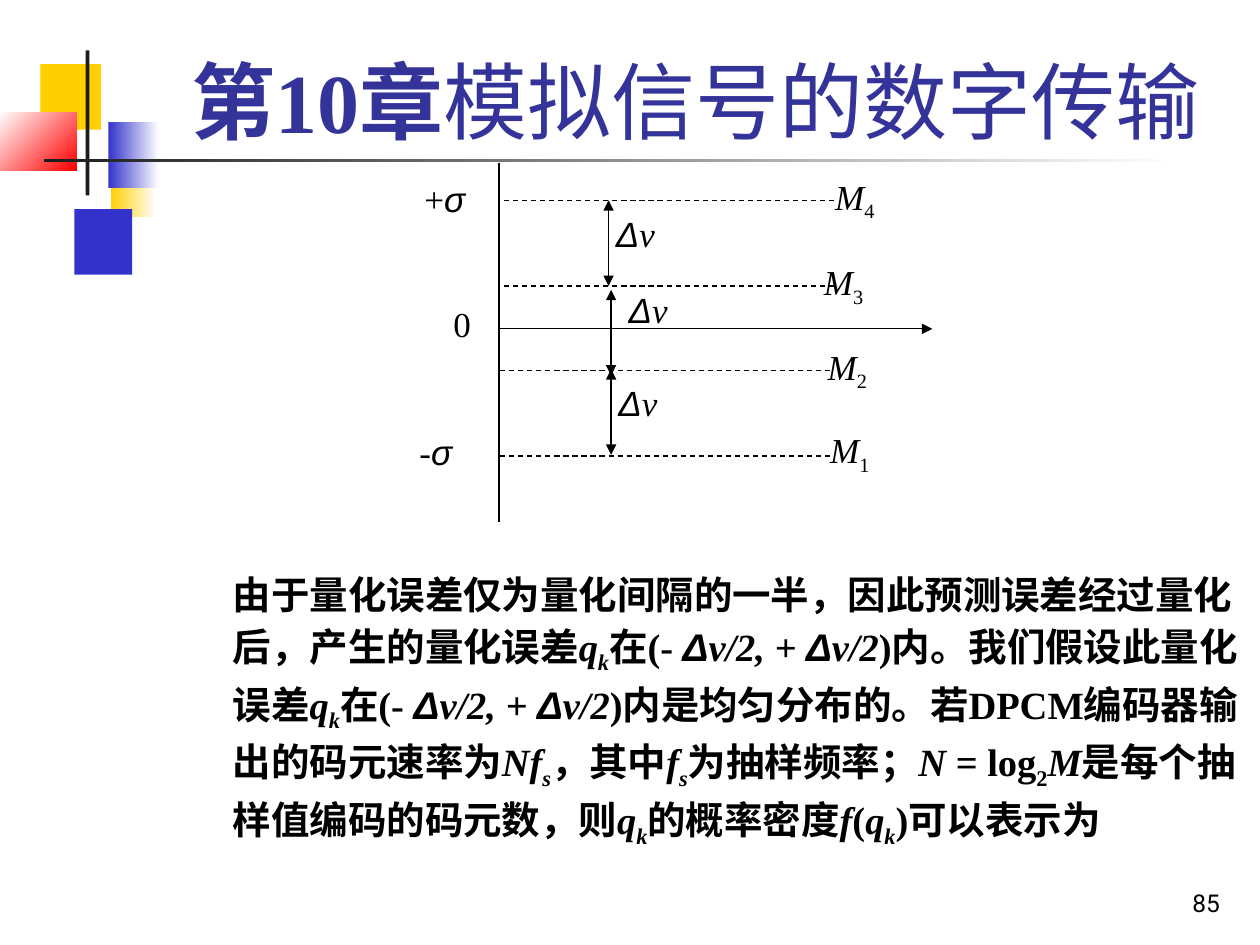
from dataclasses import dataclass

from lxml.etree import SubElement
from pptx import Presentation
from pptx.dml.color import RGBColor
from pptx.enum.dml import MSO_LINE_DASH_STYLE as DASH
from pptx.enum.shapes import MSO_CONNECTOR as CONNECTOR
from pptx.enum.shapes import MSO_SHAPE as SHAPE
from pptx.enum.text import MSO_ANCHOR as ANCHOR
from pptx.enum.text import PP_ALIGN as ALIGN
from pptx.oxml.ns import qn
from pptx.util import Inches, Pt


@dataclass(frozen=True)
class Theme:
    yellow: str = "FFCF01"
    blue: str = "3333CC"
    red: str = "FF0000"
    dark: str = "1C1C1C"
    white: str = "FFFFFF"
    black: str = "000000"
    title: str = "333399"
    serif: str = "Times New Roman"
    greek: str = "Arial"
    number: str = "Roboto"
    title_size: int = 48
    body_size: int = 22
    label_size: int = 20
    number_size: int = 14
    line_width: float = 0.75


THEME = Theme()

# Run styles are strings of flags: b bold, i italic, s subscript, g Greek font
DELTA_V = [("Δ", "ig"), ("v", "i")]
Q_K = [("q", "bi"), ("k", "bis")]
F_S = [("f", "bi"), ("s", "bis")]
ERROR_RANGE = [("在(- ", "b"), ("Δ", "big"), ("v/2, + ", "bi"), ("Δ", "big"), ("v/2", "bi")]

BODY = [
    ("由于量化误差仅为量化间隔的一半，因此预测误差经过量化后，产生的量化误差", "b"),
    *Q_K, *ERROR_RANGE, (")内。我们假设此量化误差", "b"),
    *Q_K, *ERROR_RANGE, (")内是均匀分布的。若DPCM编码器输出的码元速率为", "b"),
    ("N", "bi"), *F_S, ("，其中", "b"), *F_S, ("为抽样频率；", "b"),
    ("N", "bi"), (" = log", "b"), ("2", "bs"), ("M", "bi"),
    ("是每个抽样值编码的码元数，则", "b"), *Q_K, ("的概率密度", "b"),
    ("f", "bi"), ("(", "b"), *Q_K, (")可以表示为", "b"),
]


def add_text(slide, box, runs, size=THEME.label_size, color=THEME.black, font=THEME.serif,
             align=ALIGN.LEFT, anchor=ANCHOR.TOP, line_spacing=None):
    shape = slide.shapes.add_textbox(*map(Inches, box))
    frame = shape.text_frame
    frame.word_wrap = True
    frame.vertical_anchor = anchor
    paragraph = frame.paragraphs[0]
    paragraph.alignment = align
    paragraph.line_spacing = line_spacing
    for text, flags in runs:
        run = paragraph.add_run()
        run.text = text
        run.font.name = THEME.greek if "g" in flags else font
        run.font.size = Pt(size)
        run.font.bold = "b" in flags
        run.font.italic = "i" in flags
        run.font.color.rgb = RGBColor.from_string(color)
        if "s" in flags:
            run._r.get_or_add_rPr().set("baseline", "-25000")


def add_block(slide, box, color, end_color=None, angle=0):
    shape = slide.shapes.add_shape(SHAPE.RECTANGLE, *map(Inches, box))
    shape.shadow.inherit = False
    shape.line.fill.background()
    if end_color is None:
        shape.fill.solid()
        shape.fill.fore_color.rgb = RGBColor.from_string(color)
        return
    shape.fill.gradient()
    shape.fill.gradient_angle = angle
    for stop, value, position in zip(shape.fill.gradient_stops, (color, end_color), (0, 1)):
        stop.color.rgb = RGBColor.from_string(value)
        stop.position = position


def add_line(slide, start, end, dashed=False, arrows=()):
    connector = slide.shapes.add_connector(CONNECTOR.STRAIGHT, *map(Inches, (*start, *end)))
    connector.line.width = Pt(THEME.line_width)
    connector.line.color.rgb = RGBColor.from_string(THEME.black)
    if dashed:
        connector.line.dash_style = DASH.DASH
    outline = connector.line._get_or_add_ln()
    for arrow in arrows:
        SubElement(outline, qn(f"a:{arrow}"), type="triangle")
    SubElement(connector._element.spPr, qn("a:effectLst"))


def add_decoration(slide):
    add_block(slide, (0.88, 1.2, 0.36, 0.52), THEME.yellow, THEME.white)
    add_block(slide, (0.59, 1.66, 0.46, 0.52), THEME.blue)
    add_block(slide, (0.32, 0.51, 0.48, 0.52), THEME.yellow)
    add_block(slide, (0.86, 0.97, 0.4, 0.52), THEME.blue, THEME.white)
    add_block(slide, (0, 0.89, 0.61, 0.46), THEME.white, THEME.red, angle=315)
    add_block(slide, (0.68, 0.4, 0.03, 1.15), THEME.dark)
    add_block(slide, (0.35, 1.26, 9, 0.03), THEME.dark, THEME.white)


def add_diagram(slide):
    # Axes
    add_line(slide, (3.96, 1.29), (3.96, 4.14))
    add_line(slide, (3.96, 2.61), (7.4, 2.61), arrows=["tailEnd"])

    # Quantization levels: index, line start, line height, label position
    levels = [
        ("4", 4, 1.59, 6.53, 1.34),
        ("3", 4, 2.27, 6.44, 2.02),
        ("2", 3.97, 2.94, 6.47, 2.69),
        ("1", 3.97, 3.62, 6.49, 3.35),
    ]
    for index, left, level, label_left, label_top in levels:
        add_line(slide, (left, level), (left + 2.63, level), dashed=True)
        add_text(slide, (label_left, label_top, 0.87, 0.51), [("M", "i"), (index, "s")])

    # Interval arrows and their labels
    intervals = [(4.83, 1.59, 4.79, 1.64), (4.85, 2.3, 4.89, 2.24), (4.85, 2.93, 4.81, 2.98)]
    for x, top, label_left, label_top in intervals:
        add_line(slide, (x, top), (x, top + 0.68), arrows=["headEnd", "tailEnd"])
        add_text(slide, (label_left, label_top, 0.89, 0.59), DELTA_V)

    # Axis values
    add_text(slide, (3.27, 1.36, 0.85, 0.51), [("+", ""), ("σ", "ig")])
    add_text(slide, (3.5, 2.35, 0.6, 0.49), [("0", "")])
    add_text(slide, (3.23, 3.37, 0.85, 0.51), [("-", ""), ("σ", "ig")])


def main():
    presentation = Presentation()
    presentation.slide_width = Inches(10)
    presentation.slide_height = Inches(7.5)
    slide = presentation.slides.add_slide(presentation.slide_layouts[6])

    add_decoration(slide)
    add_text(slide, (7.7, 6.83, 2.08, 0.5), [("85", "")], size=THEME.number_size,
             font=THEME.number, align=ALIGN.RIGHT, anchor=ANCHOR.BOTTOM)
    add_text(slide, (1.26, 0.23, 8.52, 1.01), [("第10章", "b"), ("模拟信号的数字传输", "")],
             size=THEME.title_size, color=THEME.title, align=ALIGN.CENTER, anchor=ANCHOR.BOTTOM)
    add_text(slide, (1.75, 4.45, 8.25, 2.8), BODY, size=THEME.body_size, line_spacing=1.1)
    add_diagram(slide)

    presentation.save("out.pptx")


if __name__ == "__main__":
    main()
